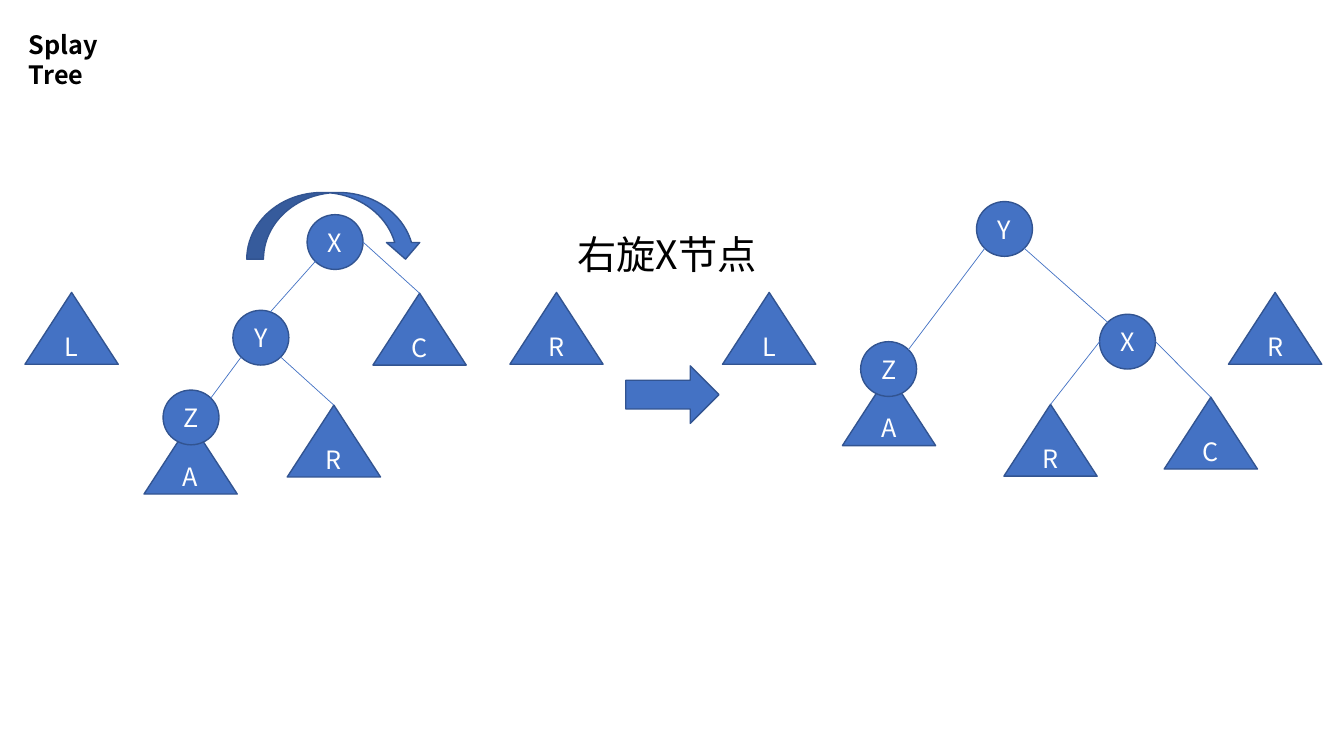
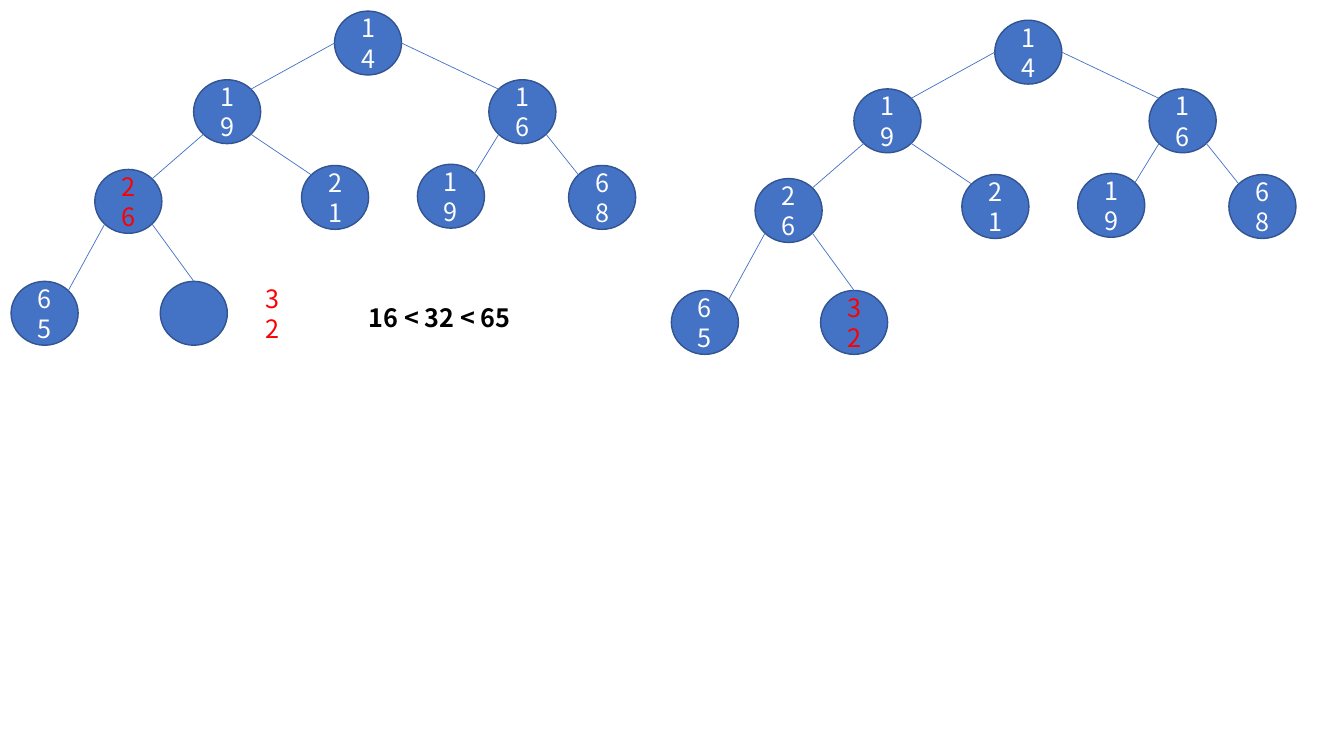
from lxml.etree import SubElement
from pptx import Presentation
from pptx.dml.color import RGBColor
from pptx.enum.shapes import MSO_CONNECTOR, MSO_SHAPE
from pptx.enum.text import MSO_ANCHOR, PP_ALIGN
from pptx.oxml.ns import qn
from pptx.util import Cm, Pt

COLORS = {
    "blue": "4472C4",
    "outline": "325491",
    "white": "FFFFFF",
    "black": "000000",
    "red": "FF0000",
}
FONT = "Noto Sans CJK SC"

# Sizes in centimetres
CIRCLE = (1.41, 1.38)
TRIANGLE = (2.35, 1.81)
HEAP_NODE = (1.69, 1.61)

# Points on a node where an edge may end, as shares of its width and height
SITES = {
    "top": (0.5, 0),
    "left": (0, 0.5),
    "right": (1, 0.5),
    "top left": (0.15, 0.15),
    "top right": (0.85, 0.15),
    "bottom left": (0.15, 0.85),
    "bottom right": (0.85, 0.85),
    "upper right": (0.67, 0.03),
}

# Rotation trees: key -> (label, left, top) within the stage
BEFORE_TRIANGLES = {
    "L": ("L", 0, 2.29),
    "R": ("R", 12.22, 2.29),
    "C": ("C", 8.77, 2.31),
    "A": ("A", 3, 5.56),
    "inner R": ("R", 6.61, 5.13),
}
BEFORE_CIRCLES = {
    "X": ("X", 7.11, 0.33),
    "Y": ("Y", 5.24, 2.74),
    "Z": ("Z", 3.48, 4.75),
}
BEFORE_EDGES = [
    ("X", "bottom left", "Y", "upper right"),
    ("Y", "bottom left", "Z", "top right"),
    ("X", "right", "C", "top"),
    ("Y", "bottom right", "inner R", "top"),
]
AFTER_TRIANGLES = {
    "L": ("L", 0, 2.29),
    "R": ("R", 12.75, 2.29),
    "C": ("C", 11.13, 4.93),
    "A": ("A", 3.02, 4.34),
    "inner R": ("R", 7.09, 5.11),
}
AFTER_CIRCLES = {
    "X": ("X", 9.5, 2.84),
    "Y": ("Y", 6.4, 0),
    "Z": ("Z", 3.48, 3.53),
}
AFTER_EDGES = [
    ("X", "top left", "Y", "bottom right"),
    ("Y", "bottom left", "Z", "top right"),
    ("X", "right", "C", "top"),
    ("X", "left", "inner R", "top"),
]

# Heap: key -> (label, left, top) within the heap's box
HEAP_NODES = {
    "root": ("14", 8.15, 0),
    "left": ("19", 4.6, 1.73),
    "right": ("16", 12.04, 1.73),
    "left-left": ("26", 2.11, 3.99),
    "left-right": ("21", 7.32, 3.89),
    "right-left": ("19", 10.24, 3.86),
    "right-right": ("68", 14.05, 3.89),
    "first leaf": ("65", 0, 6.81),
    "last leaf": ("32", 3.76, 6.81),
}
HEAP_EDGES = [
    ("root", "left", "left", "top right"),
    ("root", "right", "right", "top left"),
    ("left", "bottom left", "left-left", "top right"),
    ("left", "bottom right", "left-right", "top left"),
    ("right", "bottom left", "right-left", "top right"),
    ("right", "bottom right", "right-right", "top left"),
    ("left-left", "bottom left", "first leaf", "top right"),
    ("left-left", "bottom right", "last leaf", "top"),
]


def rgb(color):
    return RGBColor.from_string(COLORS[color])


def add_run(paragraph, text, size=18, color="white", bold=False):
    run = paragraph.add_run()
    run.text = text
    run.font.size = Pt(size)
    run.font.bold = bold
    run.font.color.rgb = rgb(color)
    run.font.name = FONT
    east_asian = SubElement(run.font._element, qn("a:ea"))
    east_asian.set("typeface", FONT)


def add_figure(slide, kind, left, top, size, label="", color="white",
               fill="blue", outline="outline"):
    """Preset shape with a centred label."""
    width, height = size
    shape = slide.shapes.add_shape(
        kind, Cm(left), Cm(top), Cm(width), Cm(height))
    shape.shadow.inherit = False
    shape.fill.solid()
    shape.fill.fore_color.rgb = rgb(fill)
    shape.line.color.rgb = rgb(outline)
    shape.line.width = Pt(1)
    if label:
        shape.text_frame.vertical_anchor = MSO_ANCHOR.MIDDLE
        paragraph = shape.text_frame.paragraphs[0]
        paragraph.alignment = PP_ALIGN.CENTER
        add_run(paragraph, label, color=color)
    return shape


def add_text(slide, left, top, width, height, text, size=18, bold=False):
    box = slide.shapes.add_textbox(Cm(left), Cm(top), Cm(width), Cm(height))
    box.text_frame.word_wrap = True
    add_run(box.text_frame.paragraphs[0], text, size, "black", bold)


def site_point(shape, site):
    across, down = SITES[site]
    return (round(shape.left + across * shape.width),
            round(shape.top + down * shape.height))


def add_edges(slide, shapes, edges):
    for parent, parent_site, child, child_site in edges:
        connector = slide.shapes.add_connector(
            MSO_CONNECTOR.STRAIGHT,
            *site_point(shapes[parent], parent_site),
            *site_point(shapes[child], child_site))
        connector.line.color.rgb = rgb("blue")
        connector.line.width = Pt(0.5)
        SubElement(connector._element.spPr, qn("a:effectLst"))


def add_rotation_stage(slide, left, top, triangles, circles, edges):
    """Tree before or after the rotation, with its L and R subtrees."""
    shapes = {}
    for kind, size, nodes in (
            (MSO_SHAPE.ISOSCELES_TRIANGLE, TRIANGLE, triangles),
            (MSO_SHAPE.OVAL, CIRCLE, circles)):
        for key, (label, x, y) in nodes.items():
            shapes[key] = add_figure(
                slide, kind, left + x, top + y, size, label)
    add_edges(slide, shapes, edges)


def add_heap(slide, left, top, red_node, empty_node=None):
    shapes = {}
    for key, (label, x, y) in HEAP_NODES.items():
        shapes[key] = add_figure(
            slide, MSO_SHAPE.OVAL, left + x, top + y, HEAP_NODE,
            "" if key == empty_node else label,
            "red" if key == red_node else "white")
    add_edges(slide, shapes, HEAP_EDGES)


def build_rotation_slide(slide):
    # Trees
    stage_top = 5.08
    add_rotation_stage(slide, 0.63, stage_top,
                       BEFORE_TRIANGLES, BEFORE_CIRCLES, BEFORE_EDGES)
    add_rotation_stage(slide, 18.21, stage_top,
                       AFTER_TRIANGLES, AFTER_CIRCLES, AFTER_EDGES)
    # Arrows
    add_figure(slide, MSO_SHAPE.RIGHT_ARROW, 15.77, 9.22, (2.35, 1.45))
    turn = add_figure(
        slide, MSO_SHAPE.CURVED_LEFT_ARROW, 7.59, 3.48, (1.68, 4.42))
    turn.rotation = 270
    # Step name and title
    add_text(slide, 14.3, 5.69, 5.08, 1.45, "右旋X节点", size=28)
    add_text(slide, 0.48, 0.61, 3.61, 1.02, "Splay Tree", bold=True)


def build_heap_slide(slide):
    # Heap with the open place, and the value to insert
    left, top = 0.28, 0.28
    add_heap(slide, left, top, "left-left", empty_node="last leaf")
    add_figure(slide, MSO_SHAPE.OVAL, left + 5.74, top + 6.81, HEAP_NODE,
               "32", "red", fill="white", outline="white")
    # Heap after the insertion
    add_heap(slide, 16.92, 0.51, "last leaf")
    add_text(slide, 9.04, 7.49, 9.75, 1.02, "16 < 32 < 65", bold=True)


def main():
    presentation = Presentation()
    presentation.slide_width = Cm(33.87)
    presentation.slide_height = Cm(19.05)
    blank = presentation.slide_layouts[6]
    for build in (build_rotation_slide, build_heap_slide):
        build(presentation.slides.add_slide(blank))
    presentation.save("out.pptx")


if __name__ == "__main__":
    main()
